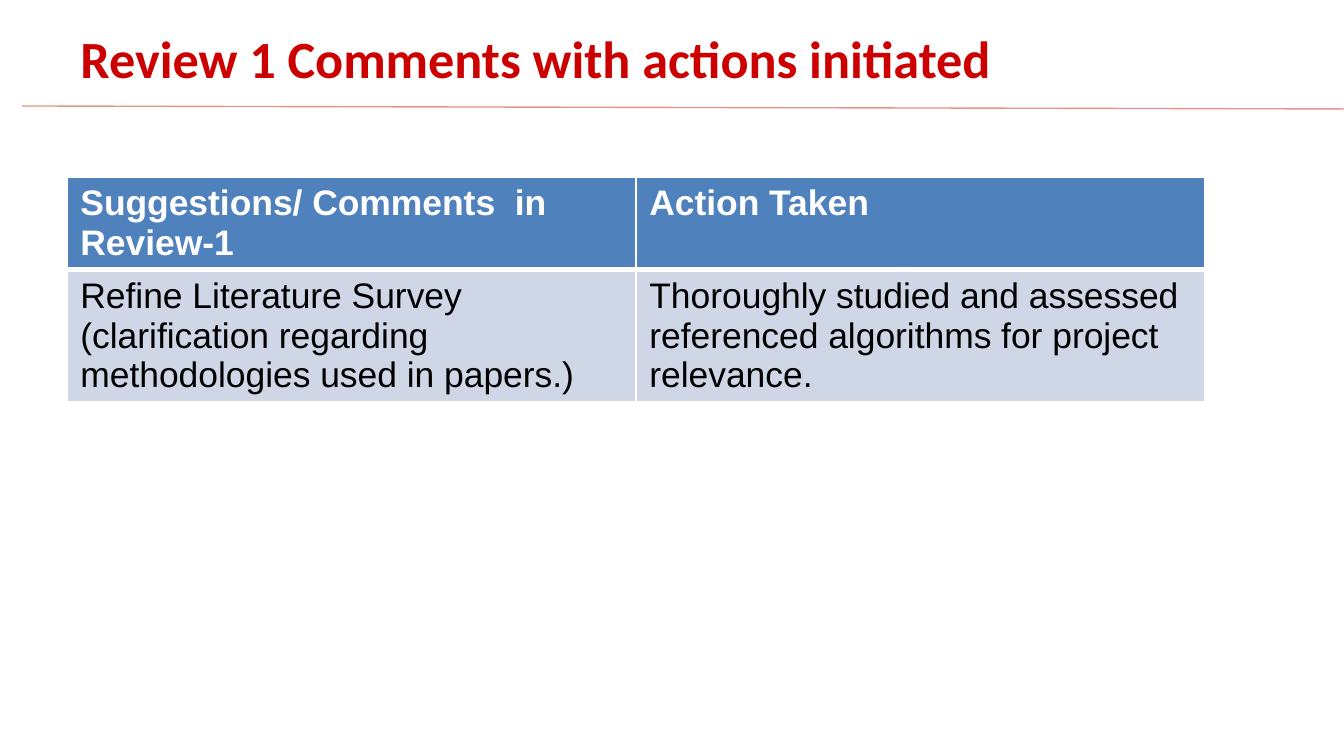
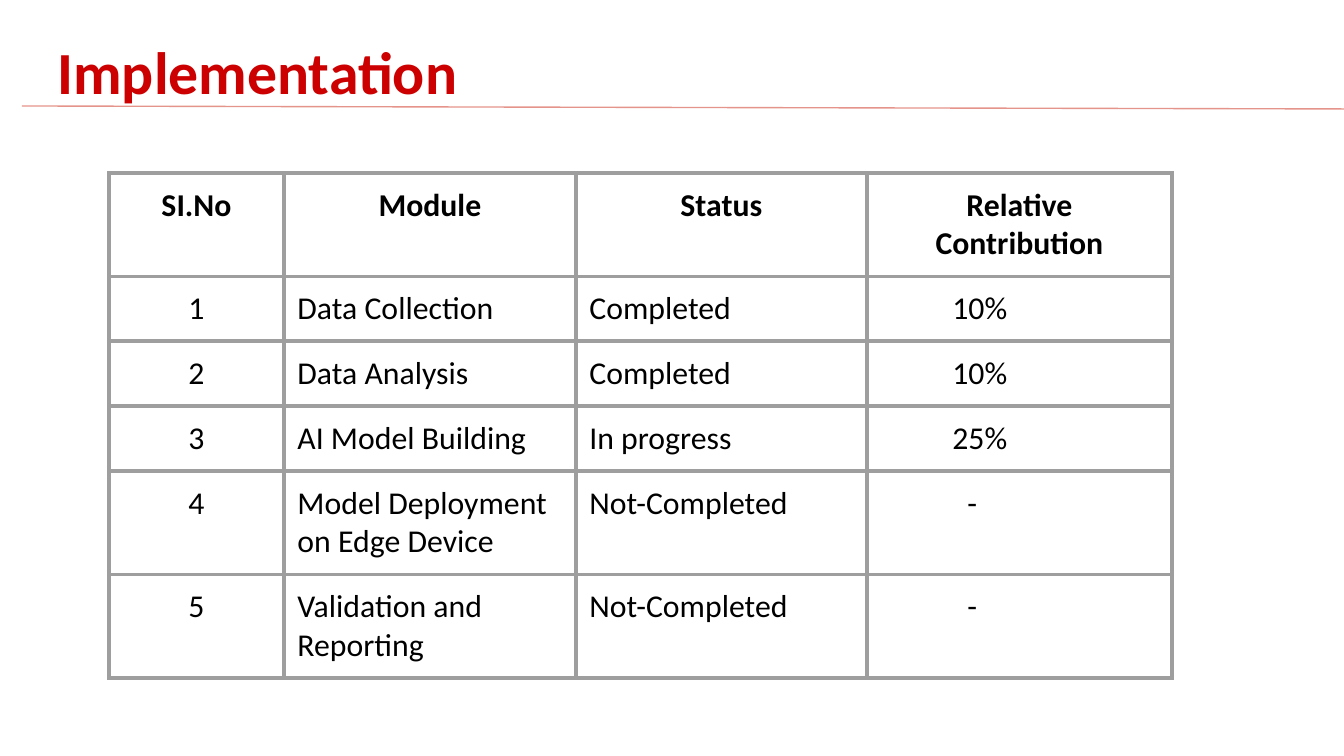
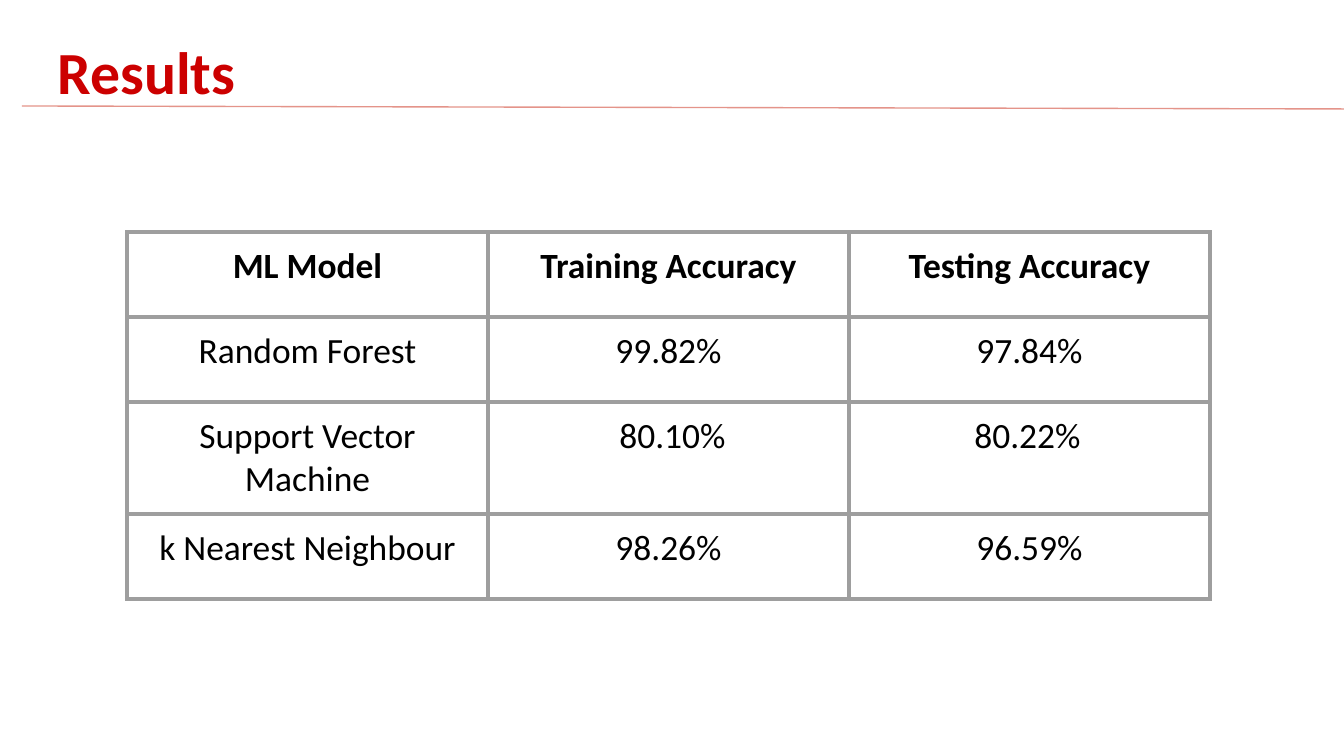
from dataclasses import dataclass

from lxml import etree
from pptx import Presentation
from pptx.dml.color import RGBColor
from pptx.enum.shapes import MSO_CONNECTOR
from pptx.enum.text import MSO_ANCHOR, MSO_AUTO_SIZE, PP_ALIGN
from pptx.oxml.ns import qn
from pptx.util import Emu, Pt

LEFT, CENTER = PP_ALIGN.LEFT, PP_ALIGN.CENTER
TOP, MIDDLE = MSO_ANCHOR.TOP, MSO_ANCHOR.MIDDLE
NO_AUTOSIZE = MSO_AUTO_SIZE.NONE
STRAIGHT = MSO_CONNECTOR.STRAIGHT

TITLE_FONT = "Calibri"
TITLE_RED = "CC0000"
RULE_PINK = "E4948A"
GRID_GRAY = "9E9E9E"
HEADER_BLUE = "4F81BD"
BODY_BLUE = "CFD7E7"
WHITE = "FFFFFF"
BLACK = "000000"

EMU_PER_PIXEL = 914400 / 134.4
TITLE_ONLY_LAYOUT = 5
EDGES = ("lnL", "lnR", "lnT", "lnB")


@dataclass(frozen=True)
class TitleStyle:
    box: tuple[int, int, int, int]
    size: int
    anchor: MSO_ANCHOR
    line_spacing: float


@dataclass(frozen=True)
class TableStyle:
    font: str
    size: int
    header_color: str
    header_fill: str | None
    body_fill: str | None
    border_color: str
    border_width: float
    header_rule_width: float
    vertical_margin: int


@dataclass(frozen=True)
class Cell:
    text: str
    alignment: PP_ALIGN = LEFT
    indent: int = 0


@dataclass(frozen=True)
class Grid:
    left: int
    top: int
    columns: list[int]
    row_heights: list[int]
    cells: list[list[Cell]]
    style: TableStyle


@dataclass(frozen=True)
class SlideContent:
    title: str
    title_style: TitleStyle
    grid: Grid


SECTION_TITLE = TitleStyle((44, 0, 1165, 126), 32, MIDDLE, 1.2)
REVIEW_TITLE = TitleStyle((67, 20, 949, 77), 28, TOP, 1.0)


def outlined(size: int) -> TableStyle:
    return TableStyle("Calibri", size, BLACK, None, None, GRID_GRAY, 2.25, 2.25, 13)


BANDED = TableStyle("Arial", 19, WHITE, HEADER_BLUE, BODY_BLUE, WHITE, 1, 3, 7)


def pixels(value: float) -> Emu:
    return Emu(round(value * EMU_PER_PIXEL))


def color(value: str) -> RGBColor:
    return RGBColor.from_string(value)


def centered(*texts: str) -> list[Cell]:
    return [Cell(text, CENTER) for text in texts]


def module_row(number: int, module: str, status: str, share: str) -> list[Cell]:
    indent = 87 if share == "-" else 72
    return [Cell(str(number), CENTER), Cell(module), Cell(status), Cell(share, indent=indent)]


def add_title(slide, text: str, style: TitleStyle) -> None:
    title = slide.shapes.title
    title.left, title.top, title.width, title.height = map(pixels, style.box)
    frame = title.text_frame
    frame.text = text
    frame.word_wrap = True
    frame.auto_size = NO_AUTOSIZE
    frame.vertical_anchor = style.anchor
    paragraph = frame.paragraphs[0]
    paragraph.alignment = LEFT
    paragraph.line_spacing = style.line_spacing
    paragraph.font.name = TITLE_FONT
    paragraph.font.size = Pt(style.size)
    paragraph.font.bold = True
    paragraph.font.color.rgb = color(TITLE_RED)


def add_title_rule(slide) -> None:
    rule = slide.shapes.add_connector(STRAIGHT, *map(pixels, (22, 106, 1344, 109)))
    rule.line.color.rgb = color(RULE_PINK)
    rule.line.width = Pt(0.75)
    etree.SubElement(rule._element.spPr, qn("a:effectLst"))


def set_border(cell, edge: str, value: str, width: float) -> None:
    properties = cell._tc.get_or_add_tcPr()
    line = etree.SubElement(properties, qn(f"a:{edge}"), w=str(Pt(width)))
    fill = etree.SubElement(line, qn("a:solidFill"))
    etree.SubElement(fill, qn("a:srgbClr"), val=value)


def format_cell(cell, content: Cell, style: TableStyle, row: int) -> None:
    is_header = row == 0
    for edge in EDGES:
        beside_header_rule = (row, edge) in ((0, "lnB"), (1, "lnT"))
        width = style.header_rule_width if beside_header_rule else style.border_width
        set_border(cell, edge, style.border_color, width)
    fill = style.header_fill if is_header else style.body_fill
    if fill is None:
        cell.fill.background()
    else:
        cell.fill.solid()
        cell.fill.fore_color.rgb = color(fill)
    cell.margin_top = cell.margin_bottom = pixels(style.vertical_margin)
    cell.text = content.text
    for paragraph in cell.text_frame.paragraphs:
        paragraph.alignment = content.alignment
        paragraph.font.name = style.font
        paragraph.font.size = Pt(style.size)
        paragraph.font.bold = is_header
        paragraph.font.color.rgb = color(style.header_color if is_header else BLACK)
        if content.indent:
            paragraph._p.get_or_add_pPr().set("marL", str(pixels(content.indent)))


def add_grid(slide, grid: Grid) -> None:
    bounds = (grid.left, grid.top, sum(grid.columns), sum(grid.row_heights))
    table = slide.shapes.add_table(
        len(grid.cells), len(grid.columns), *map(pixels, bounds)
    ).table
    table.horz_banding = False
    for column, width in zip(table.columns, grid.columns):
        column.width = pixels(width)
    for row, height in zip(table.rows, grid.row_heights):
        row.height = pixels(height)
    for row_index, contents in enumerate(grid.cells):
        for column_index, content in enumerate(contents):
            format_cell(table.cell(row_index, column_index), content, grid.style, row_index)


REVIEW_GRID = Grid(
    67, 177, [569] * 2, [55] * 2,
    [
        [Cell("Suggestions/ Comments  in Review-1"), Cell("Action Taken")],
        [
            Cell("Refine Literature Survey\n"
                 "(clarification regarding methodologies used in papers.)"),
            Cell("Thoroughly studied and assessed referenced algorithms "
                 "for project relevance."),
        ],
    ],
    BANDED,
)

MODULE_GRID = Grid(
    109, 173, [175, 292, 291, 305], [81] + [56] * 5,
    [
        centered("SI.No", "Module", "Status", "Relative Contribution"),
        module_row(1, "Data Collection", "Completed", "10%"),
        module_row(2, "Data Analysis", "Completed", "10%"),
        module_row(3, "AI Model Building", "In progress", "25%"),
        module_row(4, "Model Deployment on Edge Device", "Not-Completed", "-"),
        module_row(5, "Validation and Reporting", "Not-Completed", "-"),
    ],
    outlined(17),
)

ACCURACY_GRID = Grid(
    127, 232, [361] * 3, [85] * 4,
    [
        centered("ML Model", "Training Accuracy", "Testing Accuracy"),
        centered("Random Forest", "99.82%", "97.84%"),
        [
            Cell("Support Vector Machine", CENTER),
            Cell("80.10%", CENTER, 8),
            Cell("80.22%", indent=112),
        ],
        centered("k Nearest Neighbour", "98.26%", "96.59%"),
    ],
    outlined(19),
)

SLIDES = [
    SlideContent("Review 1 Comments with actions initiated", REVIEW_TITLE, REVIEW_GRID),
    SlideContent("Implementation", SECTION_TITLE, MODULE_GRID),
    SlideContent("Results", SECTION_TITLE, ACCURACY_GRID),
]


def main() -> None:
    presentation = Presentation()
    presentation.slide_width = pixels(1344)
    presentation.slide_height = pixels(756)
    layout = presentation.slide_layouts[TITLE_ONLY_LAYOUT]
    for content in SLIDES:
        slide = presentation.slides.add_slide(layout)
        add_title(slide, content.title, content.title_style)
        add_title_rule(slide)
        add_grid(slide, content.grid)
    presentation.save("out.pptx")


main()
